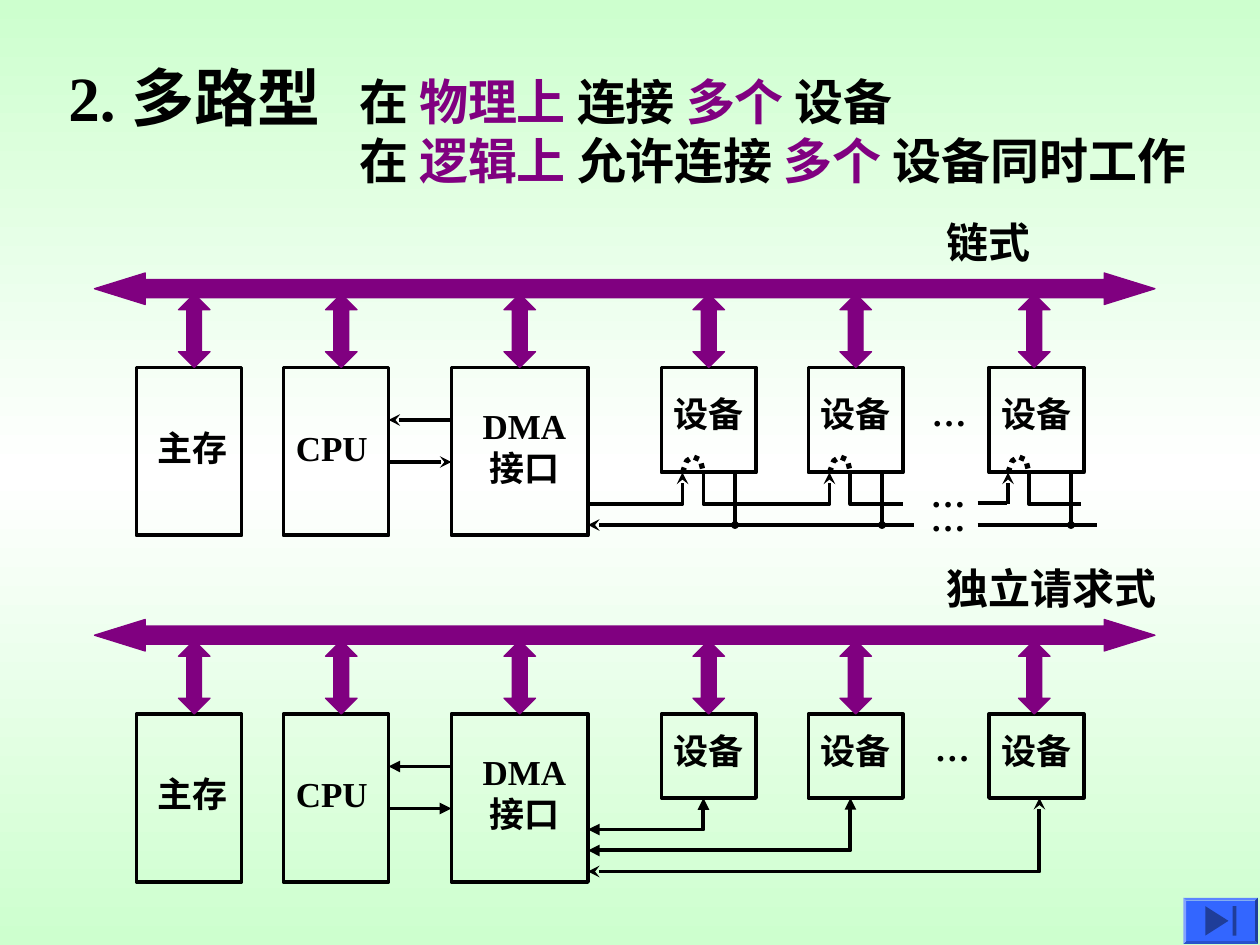
from copy import deepcopy
from pptx import Presentation
from pptx.dml.color import RGBColor as RGB
from pptx.enum.dml import MSO_LINE as Dash
from pptx.enum.shapes import MSO_CONNECTOR as Conn, MSO_SHAPE as Kind
from pptx.enum.text import MSO_ANCHOR as Anchor, MSO_AUTO_SIZE as Auto, PP_ALIGN as Align
from pptx.oxml.ns import qn
from pptx.oxml.xmlchemy import OxmlElement as Node
from pptx.util import Inches, Pt

# Content: each heading line is a list of (text, colour) runs
HUES = {"ink": "000000", "bus": "800080", "edge": "CDFFCE", "mid": "FFFFFF",
        "key": "3366FF", "icon": "1F3D99"}
TITLE = [[("2. 多路型", "ink")]]
NOTES = [
    [("在 ", "ink"), ("物理上 ", "bus"), ("连接 ", "ink"), ("多个 ", "bus"), ("设备", "ink")],
    [("在 ", "ink"), ("逻辑上 ", "bus"), ("允许连接 ", "ink"), ("多个 ", "bus"),
     ("设备同时工作", "ink")],
]
FONT = "Times New Roman"

# Grid: 12 cells to the inch, so the slide is 120 by 90 cells
CELL = Inches(10) / 120
UNITS = [  # label, box left and width, label left, top and width
    ("主存", 13, 10, 13.8, 40, 9),
    ("CPU", 27, 10, 27, 40, 9.2),
    ("DMA\n接口", 43, 13, 44.8, 37.9, 10.3),
]
DEVS = [63, 77, 94.2]
STEMS = [17, 31, 48, 66, 80, 97]
SCHEMES = [
    {"name": "链式", "width": 16, "drop": 0, "tall": 10, "label": 36.8,
     "head": "stealth", "dots": [(87.5, 36.7), (87.4, 44.4), (87.4, 46.7)],
     "wires": [  # points, start mark, end mark
         ([(56, 48), (65, 48), (65, 45)], None, "stealth"),
         ([(67, 45), (67, 48), (79, 48), (79, 45)], None, "stealth"),
         ([(81, 45), (81, 48), (86, 48)], None, None),
         ([(93.1, 47.9), (95.9, 47.9)], None, None),
         ([(96, 48), (96, 45)], None, "stealth"),
         ([(98, 45), (98, 48), (103, 48)], None, None),
         ([(87, 50), (56, 50)], None, "stealth"),
         ([(93.1, 50), (104.5, 50)], None, None),
         *[([(x, 45), (x, 50)], None, "oval") for x in (70, 84, 102)]],
     "arcs": [65, 79, 96]},
    {"name": "独立请求式", "width": 30, "drop": 33, "tall": 8, "label": 35.9,
     "head": "triangle", "dots": [(87.8, 35.6)],
     "wires": [([(56, y), (x, y), (x, 43)], mark, mark) for x, y, mark in
               [(67, 46, "triangle"), (81, 48, "triangle"), (99, 50, "stealth")]],
     "arcs": []},
]
ARC = [(0, 45), (0.4, 43.9), (1, 43.5), (1.7, 43.8), (2, 45)]


def span(*cells):
    return [round(c * CELL) for c in cells]


def tint(name):
    return RGB.from_string(HUES[name])


def write(frame, lines, size, wrap=False, align=Align.LEFT):
    frame.word_wrap = wrap
    frame.auto_size = Auto.NONE
    frame.vertical_anchor = Anchor.TOP
    for i, line in enumerate(lines):
        para = frame.paragraphs[0] if i == 0 else frame.add_paragraph()
        props = para._p.get_or_add_pPr()
        props.set("marL", "0")
        props.set("indent", "0")
        props.append(Node("a:buNone"))
        para.alignment = align
        para.space_before = Pt(0)
        for text, hue in line:
            run = para.add_run()
            run.text = text
            font = run.font
            font.name, font.size, font.bold = FONT, Pt(size), True
            font.color.rgb = tint(hue)


def label(shapes, text, x, y, w, h, size=20, align=Align.CENTER):
    box = shapes.add_textbox(*span(x, y, w, h))
    write(box.text_frame, [[(t, "ink")] for t in text.split("\n")], size, align=align)


def block(shapes, kind, x, y, w, h, fill=None, line="ink", width=2.25, adjust=()):
    shape = shapes.add_shape(kind, *span(x, y, w, h))
    shape.shadow.inherit = False
    if fill:
        shape.fill.solid()
        shape.fill.fore_color.rgb = tint(fill)
    else:
        shape.fill.background()
    if line:
        shape.line.color.rgb = tint(line)
        shape.line.width = Pt(width)
    else:
        shape.line.fill.background()
    for i, value in enumerate(adjust):
        shape.adjustments[i] = value
    return shape


def trace(shapes, points, close=False):
    spots = [span(*p) for p in points]
    pen = shapes.build_freeform(*spots[0], scale=1.0)
    pen.add_line_segments(spots[1:], close=close)
    shape = pen.convert_to_shape()
    shape.shadow.inherit = False
    return shape


def wire(shapes, points, start=None, end=None, width=2.25):
    if len(points) == 2:
        path = shapes.add_connector(Conn.STRAIGHT, *span(*points[0], *points[1]))
        path._element.spPr.append(Node("a:effectLst"))
    else:
        path = trace(shapes, points)
        path.fill.background()
    path.line.color.rgb = tint("ink")
    path.line.width = Pt(width)
    for tag, mark in (("a:headEnd", start), ("a:tailEnd", end)):
        if mark:
            tip = Node(tag)
            tip.set("type", mark)
            if mark == "oval":
                tip.set("w", "sm")
                tip.set("len", "sm")
            path.line._get_or_add_ln().append(tip)
    return path


def draw(shapes, plan):
    drop = plan["drop"]
    top = 35 + drop

    # Units and devices
    for text, x, w, tx, ty, tw in UNITS:
        block(shapes, Kind.RECTANGLE, x, top, w, 16)
        label(shapes, text, tx, ty + drop, tw, 9.2 if "\n" in text else 5.3)
    for x in DEVS:
        block(shapes, Kind.RECTANGLE, x, top, 9, plan["tall"])
        label(shapes, "设备", x, plan["label"] + drop, 9, 5.3)

    # Bus and its stems
    block(shapes, Kind.LEFT_RIGHT_ARROW, 9, 26 + drop, 101, 3, "bus", "bus", 0.75, (0.58, 1.61))
    for x in STEMS:
        block(shapes, Kind.UP_DOWN_ARROW, x, 28 + drop, 3, 7, "bus", "bus", 0.75, (0.5, 0.47))

    # Request and answer lines
    swap = [([(37, 44), (43, 44)], None, plan["head"]),
            ([(43, 40), (37, 40)], None, plan["head"])]
    for points, start, end in swap + plan["wires"]:
        wire(shapes, [(x, y + drop) for x, y in points], start, end)
    for left in plan["arcs"]:
        arc = wire(shapes, [(left + x, y + drop) for x, y in ARC], width=3)
        arc.line.dash_style = Dash.ROUND_DOT

    # Scheme name and ellipses
    label(shapes, plan["name"], 89, 20 + drop, plan["width"], 6, 24, Align.LEFT)
    for x, y in plan["dots"]:
        label(shapes, "…", x, y + drop, 5.8, 5.3)


def main():
    deck = Presentation()
    deck.slide_width, deck.slide_height = Inches(10), Inches(7.5)
    slide = deck.slides.add_slide(deck.slide_layouts[1])

    # Background
    fill = slide.background.fill
    fill.gradient()
    fill.gradient_angle = 90
    first = slide.element.find(".//" + qn("a:gs"))
    first.addnext(deepcopy(first))
    for stop, place, hue in zip(fill.gradient_stops, (0, 0.5, 1), ("edge", "mid", "edge")):
        stop.position = place
        stop.color.rgb = tint(hue)

    # Headings
    title, body = slide.shapes.title, slide.placeholders[1]
    for holder, area in ((title, (5.3, 5, 27.8, 8.4)), (body, (33, 6.2, 87, 12.5))):
        holder.left, holder.top, holder.width, holder.height = span(*area)
    title.text_frame.margin_right = 0
    write(title.text_frame, TITLE, 36)
    write(body.text_frame, NOTES, 28, wrap=True)

    for plan in SCHEMES:
        draw(slide.shapes.add_group_shape().shapes, plan)

    # Button to the last slide
    key = slide.shapes.add_group_shape().shapes
    block(key, Kind.BEVEL, 112.7, 85.5, 7.1, 4.4, "key", None, adjust=(0.06,))
    play = trace(key, [(114.8, 86.3), (117, 87.7), (114.8, 89.1)], close=True)
    play.fill.solid()
    play.fill.fore_color.rgb = tint("icon")
    play.line.fill.background()
    block(key, Kind.RECTANGLE, 117.4, 86.3, 0.35, 2.8, "icon", None)

    deck.save("out.pptx")


if __name__ == "__main__":
    main()
